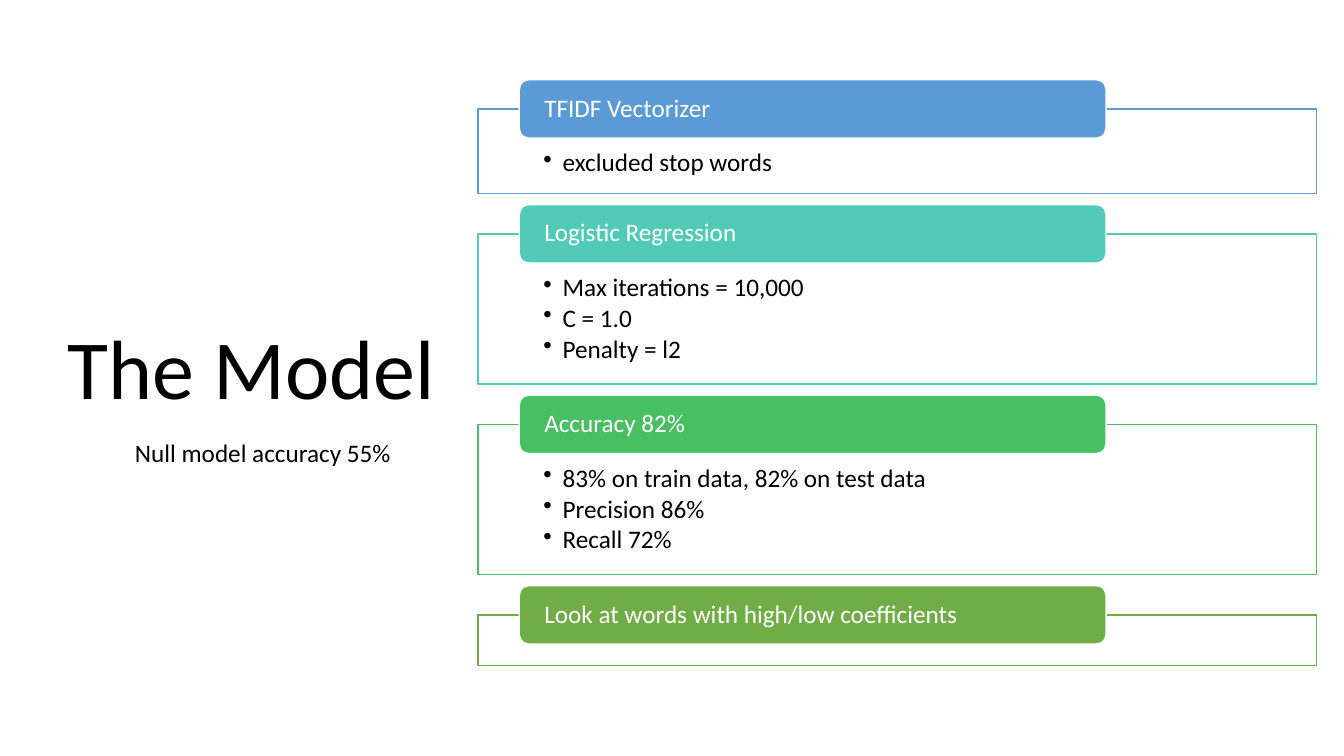
from pptx import Presentation
from pptx.dml.color import RGBColor
from pptx.enum.shapes import MSO_SHAPE as SHAPE
from pptx.enum.text import MSO_ANCHOR as ANCHOR, PP_ALIGN as ALIGN
from pptx.oxml import parse_xml
from pptx.oxml.ns import nsdecls
from pptx.util import Inches, Pt

# Content: header, colour, box height, bullets
TITLE = "The Model"
NOTE = "Null model accuracy 55%"
STEPS = [
    ("TFIDF Vectorizer", "5B9BD5", 0.84, ["excluded stop words"]),
    ("Logistic Regression", "52CAB8", 1.49,
     ["Max iterations = 10,000", "C = 1.0", "Penalty = l2"]),
    ("Accuracy 82%", "49BF64", 1.49,
     ["83% on train data, 82% on test data", "Precision 86%", "Recall 72%"]),
    ("Look at words with high/low coefficients", "70AD47", 0.5, []),
]

# Layout in inches
LEFT, TOP, WIDTH, GAP = 4.74, 1.08, 8.32, 0.4
HEAD_X, HEAD_W, HEAD_H = 5.15, 5.82, 0.58
INDENT = Inches(0.19)


def rgb(code):
    return RGBColor.from_string(code)


def style(para, size, color):
    para.alignment = ALIGN.LEFT
    for run in para.runs:
        run.font.name = "Calibri"
        run.font.size = Pt(size)
        run.font.color.rgb = rgb(color)


def inset(frame, left, top, right, bottom):
    frame.margin_left, frame.margin_top = Inches(left), Inches(top)
    frame.margin_right, frame.margin_bottom = Inches(right), Inches(bottom)


def add_box(kind, x, y, w, h, fill, line):
    box = slide.shapes.add_shape(kind, Inches(x), Inches(y), Inches(w), Inches(h))
    box.shadow.inherit = False
    box.fill.solid()
    box.fill.fore_color.rgb = rgb(fill)
    box.line.color.rgb = rgb(line)
    box.line.width = Pt(1)
    box.text_frame.word_wrap = True
    return box


def add_bullet(para):
    para.line_spacing = 0.9
    para.space_after = Pt(2.5)
    props = para._p.get_or_add_pPr()
    props.set("marL", str(INDENT))
    props.set("indent", str(-INDENT))
    props.append(parse_xml(f'<a:buChar {nsdecls("a")} char="•"/>'))


deck = Presentation()
deck.slide_width, deck.slide_height = Inches(13.33), Inches(7.5)
slide = deck.slides.add_slide(deck.slide_layouts[5])

# Title
title = slide.shapes.title
title.left, title.top = Inches(0.57), Inches(0.68)
title.width, title.height = Inches(4.16), Inches(6.02)
title.text_frame.text = TITLE
title.text_frame.vertical_anchor = ANCHOR.MIDDLE
title.text_frame.paragraphs[0].line_spacing = 0.9
style(title.text_frame.paragraphs[0], 60, "000000")

# Stacked steps: outlined box with a header on its top edge
y = TOP
for name, color, height, points in STEPS:
    body = add_box(SHAPE.RECTANGLE, LEFT, y, WIDTH, height, "FFFFFF", color)
    if points:
        frame = body.text_frame
        frame.vertical_anchor = ANCHOR.TOP
        inset(frame, 0.65, 0.41, 0.65, 0.14)
        frame.text = "\n".join(points)
        for para in frame.paragraphs:
            add_bullet(para)
            style(para, 18, "000000")

    head = add_box(SHAPE.ROUNDED_RECTANGLE, HEAD_X, y - HEAD_H / 2,
                   HEAD_W, HEAD_H, color, "FFFFFF")
    frame = head.text_frame
    frame.vertical_anchor = ANCHOR.MIDDLE
    inset(frame, 0.22, 0, 0.22, 0)
    frame.text = name
    frame.paragraphs[0].line_spacing = 0.9
    style(frame.paragraphs[0], 18, "FFFFFF")
    y += height + GAP

# Note under the title
note = slide.shapes.add_textbox(Inches(1.24), Inches(4.29), Inches(2.84), Inches(0.4))
note.text_frame.word_wrap = False
note.text_frame.text = NOTE
style(note.text_frame.paragraphs[0], 18, "000000")

deck.save("out.pptx")
